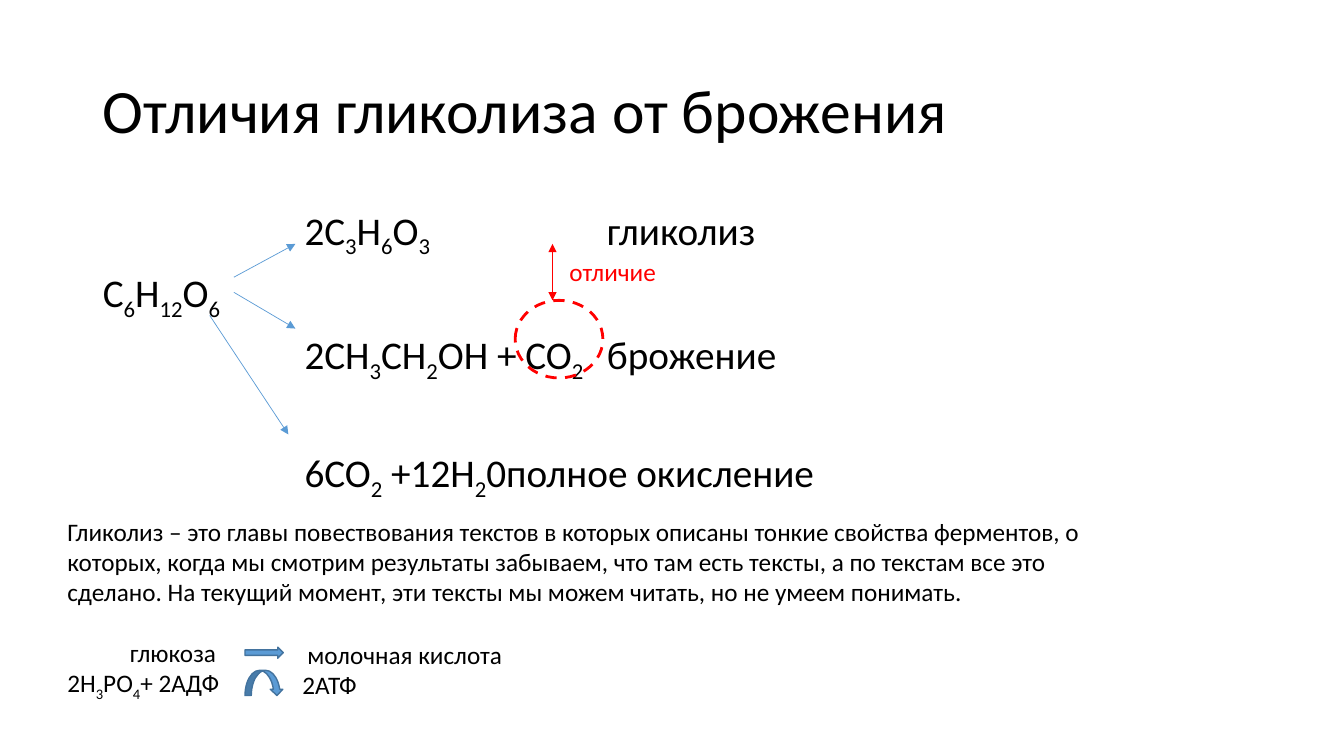
import pptx
import pptx.dml.color
import pptx.enum.dml
import pptx.enum.shapes
import pptx.enum.text
import pptx.oxml.ns
import pptx.util
from lxml import etree

PX = 9144  # 100 px to the inch
BLACK, RED, BLUE, NAVY = "000000", "FF0000", "5B9BD5", "43739E"
SHAPE = pptx.enum.shapes.MSO_SHAPE
LEFT = pptx.enum.text.PP_ALIGN.LEFT
ANCHOR = pptx.enum.text.MSO_ANCHOR
FIT = pptx.enum.text.MSO_AUTO_SIZE


def px(*nums):
    return [pptx.util.Emu(num * PX) for num in nums]


def paint(color, tone):
    color.rgb = pptx.dml.color.RGBColor.from_string(tone)


def apply(item, form):
    for key, value in form.items():
        setattr(item, key, value)


def node(parent, tag, **attrs):
    item = etree.SubElement(parent, pptx.oxml.ns.qn(tag))
    for key, value in attrs.items():
        item.set(key, value)


def write(par, text, size, tone=BLACK, indent=0, **form):
    """Fill a paragraph; parts between underscores become subscripts."""
    apply(par, {"alignment": LEFT, **form})
    props = par._p.get_or_add_pPr()
    props.set("marL", "0")
    props.set("indent", str(indent * PX))
    node(props, "a:buNone")
    for num, part in enumerate(text.split("_")):
        if part:
            run = par.add_run()
            run.text = part
            apply(run.font, {"name": "Calibri", "size": pptx.util.Pt(size)})
            paint(run.font.color, tone)
            if num % 2:
                run._r.get_or_add_rPr().set("baseline", "-25000")


def fill(frame, rows, size, **form):
    """Write rows of (text, own format), one paragraph each."""
    for num, (text, own) in enumerate(rows):
        par = frame.add_paragraph() if num else frame.paragraphs[0]
        write(par, text, size, **{**form, **own})


def place(holder, box, anchor):
    apply(holder, dict(zip(("left", "top", "width", "height"), px(*box))))
    apply(holder.text_frame, {"vertical_anchor": anchor, "word_wrap": True,
                              "auto_size": FIT.NONE})
    return holder.text_frame


def label(slide, box, rows, wrap=True, **form):
    frame = slide.shapes.add_textbox(*px(*box)).text_frame
    apply(frame, {"word_wrap": wrap, "auto_size": FIT.SHAPE_TO_FIT_TEXT})
    fill(frame, rows, 18, **form)


def arrow(slide, ends, tone, both=False):
    kind = pptx.enum.shapes.MSO_CONNECTOR.STRAIGHT
    link = slide.shapes.add_connector(kind, *px(*ends))
    paint(link.line.color, tone)
    link.line.width = pptx.util.Pt(0.5)
    line = link.line._get_or_add_ln()
    if both:
        node(line, "a:headEnd", type="triangle")
    node(line, "a:tailEnd", type="triangle")
    node(link._element.spPr, "a:effectLst")


def shape(slide, kind, box, edge, width, tone=None, dash=None):
    item = slide.shapes.add_shape(kind, *px(*box))
    item.shadow.inherit = False
    if tone:
        item.fill.solid()
        paint(item.fill.fore_color, tone)
    else:
        item.fill.background()
    paint(item.line.color, edge)
    apply(item.line, {"width": pptx.util.Pt(width), "dash_style": dash})


def main():
    deck = pptx.Presentation()
    deck.slide_width, deck.slide_height = px(1333, 750)
    slide = deck.slides.add_slide(deck.slide_layouts[1])
    title, body = slide.placeholders

    frame = place(title, (92, 40, 1150, 145), ANCHOR.MIDDLE)
    fill(frame, [("Отличия гликолиза от брожения", {})], 44, line_spacing=0.9)

    frame = place(body, (92, 200, 1150, 476), ANCHOR.TOP)
    fill(frame, [
        ("2C_3_H_6_O_3_\t\t\t\tгликолиз", {"indent": 200}),
        ("C_6_H_12_O_6_", {}),
        ("2CH_3_CH_2_OH + CO_2_\tброжение", {"indent": 200}),
        ("6CO_2_ +12H_2_0\tполное окисление",
         {"indent": 200, "space_before": pptx.util.Pt(50)}),
    ], 28, line_spacing=0.9, space_before=pptx.util.Pt(10))

    for ends in ((232, 275, 293, 242), (232, 290, 293, 326),
                 (208, 313, 286, 431)):
        arrow(slide, ends, BLUE)

    label(slide, (57, 507, 1060, 222), [
        ("Гликолиз – это главы повествования текстов в которых описаны "
         "тонкие свойства ферментов, о которых, когда мы смотрим результаты "
         "забываем, что там есть тексты, а по текстам все это сделано. "
         "На текущий момент, эти тексты мы можем читать, но не умеем "
         "понимать.", {}),
        ("глюкоза", {"indent": 62, "space_before": pptx.util.Pt(22)}),
        ("2H_3_PO_4_+ 2АДФ", {}),
    ])
    label(slide, (290, 629, 300, 70),
          [("молочная кислота", {"indent": 5}), ("2АТФ", {})])

    shape(slide, SHAPE.OVAL, (511, 298, 87, 77), RED, 2,
          dash=pptx.enum.dml.MSO_LINE.DASH)
    arrow(slide, (548, 242, 548, 298), RED, both=True)
    label(slide, (555, 249, 107, 40), [("отличие", {})], wrap=False, tone=RED)
    shape(slide, SHAPE.CURVED_DOWN_ARROW, (243, 665, 38, 25), NAVY, 1, BLUE)
    shape(slide, SHAPE.RIGHT_ARROW, (243, 642, 38, 11), NAVY, 1, BLUE)
    deck.save("out.pptx")


if __name__ == "__main__":
    main()
